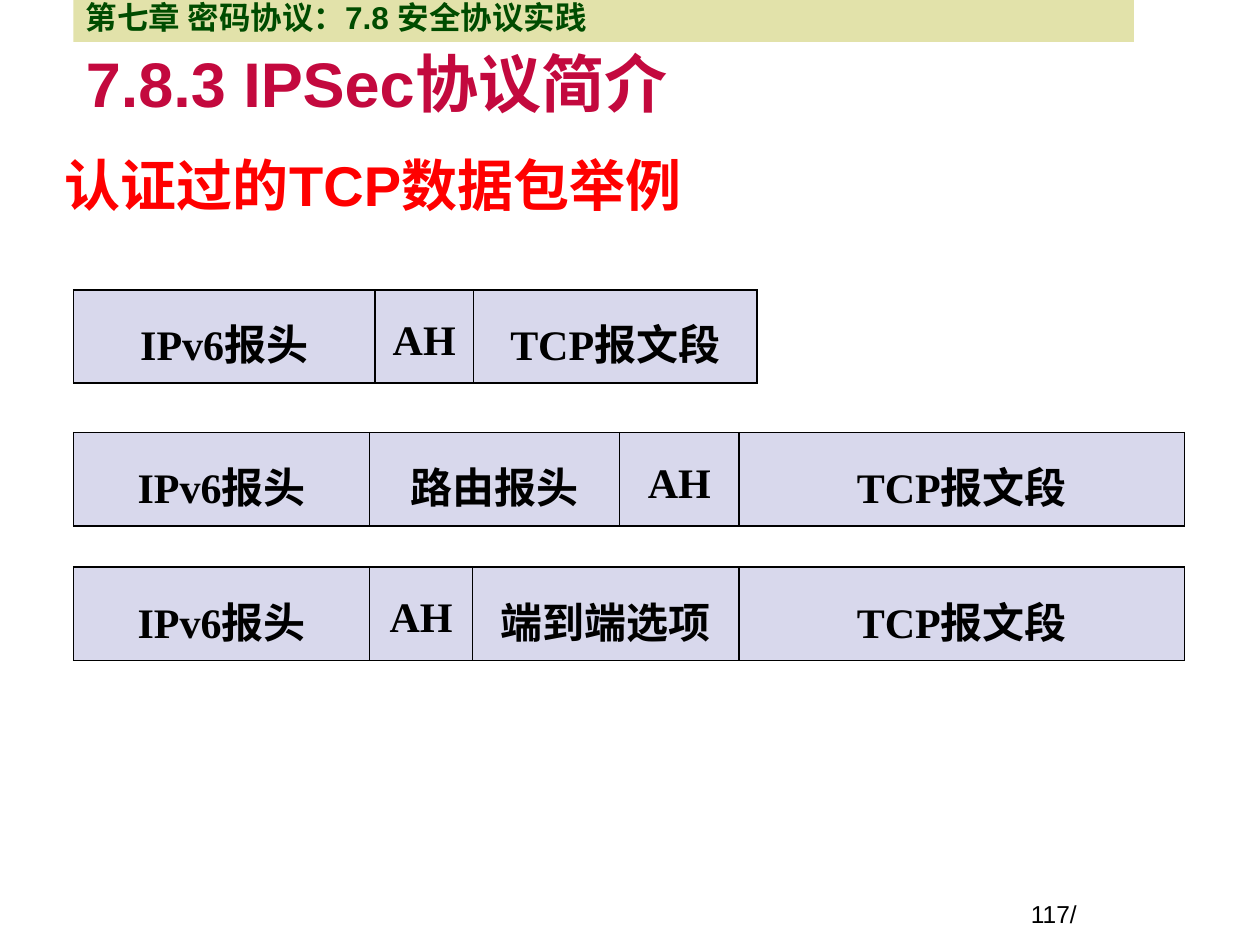
from lxml import etree
from pptx import Presentation
from pptx.dml.color import RGBColor
from pptx.enum.shapes import MSO_SHAPE
from pptx.enum.text import MSO_ANCHOR, PP_ALIGN
from pptx.oxml.ns import qn
from pptx.util import Inches, Pt

RECT = MSO_SHAPE.RECTANGLE
TOP, MIDDLE, BOTTOM = MSO_ANCHOR.TOP, MSO_ANCHOR.MIDDLE, MSO_ANCHOR.BOTTOM
LEFT, CENTER = PP_ALIGN.LEFT, PP_ALIGN.CENTER
UNITS_PER_INCH = 12
COLS, ROWS = 120, 90
MARGIN = 7
BAND_WIDTH = 101
ROW_HEIGHT = 8.9
BLACK, CELL_FILL = "000000", "D8D8EC"

PACKETS = [
    (27.6, [("IPv6报头", 28.7), ("AH", 9.4), ("TCP报文段", 27)]),
    (41.2, [("IPv6报头", 28.2), ("路由报头", 23.8), ("AH", 11.4), ("TCP报文段", 42.4)]),
    (54, [("IPv6报头", 28.2), ("AH", 9.8), ("端到端选项", 25.4), ("TCP报文段", 42.4)]),
]


def grid(n):
    return Inches(n / UNITS_PER_INCH)


def color(value):
    return RGBColor.from_string(value)


def write(tf, text, size, ink, bold=True, font="Arial", align=LEFT):
    p = tf.paragraphs[0]
    p.text = text
    p.alignment = align
    for r in p.runs:
        r.font.name = font
        r.font.size = Pt(size)
        r.font.bold = bold
        r.font.color.rgb = color(ink)
    return p


def add_text(slide, box, text, size, ink, anchor, bold=True):
    tf = slide.shapes.add_textbox(*map(grid, box)).text_frame
    tf.word_wrap = True
    tf.vertical_anchor = anchor
    write(tf, text, size, ink, bold)


def add_chapter_band(slide, box, text):
    sp = slide.shapes.add_shape(RECT, *map(grid, box))
    sp.shadow.inherit = False
    sp.fill.solid()
    sp.fill.fore_color.rgb = color("E2E2AA")
    sp.line.fill.background()
    sp.text_frame.word_wrap = True
    sp.text_frame.vertical_anchor = BOTTOM
    write(sp.text_frame, text, 18, "004C00")


def add_borders(cell):
    tc_pr = cell._tc.get_or_add_tcPr()
    for i, side in enumerate(("a:lnL", "a:lnR", "a:lnT", "a:lnB")):
        ln = etree.Element(qn(side), w=str(Pt(1)))
        fill = etree.SubElement(ln, qn("a:solidFill"))
        etree.SubElement(fill, qn("a:srgbClr"), val=BLACK)
        tc_pr.insert(i, ln)


def add_packet(slide, left, top, fields):
    width = sum(w for _, w in fields)
    box = (left, top, width, ROW_HEIGHT)
    table = slide.shapes.add_table(1, len(fields), *map(grid, box)).table
    table.first_row = False
    table.horz_banding = False
    for i, (text, w) in enumerate(fields):
        table.columns[i].width = grid(w)
        cell = table.cell(0, i)
        cell.vertical_anchor = MIDDLE
        cell.fill.solid()
        cell.fill.fore_color.rgb = color(CELL_FILL)
        p = write(cell.text_frame, text, 24, BLACK, font="Times New Roman", align=CENTER)
        p.line_spacing = 1.2
        p.space_after = Pt(2.4)
        add_borders(cell)


def main():
    prs = Presentation()
    prs.slide_width, prs.slide_height = grid(COLS), grid(ROWS)
    slide = prs.slides.add_slide(prs.slide_layouts[6])
    add_text(slide, (5, 13, 70, 9), "认证过的TCP数据包举例", 32, "FF0000", MIDDLE)
    for top, fields in PACKETS:
        add_packet(slide, MARGIN, top, fields)
    add_text(slide, (MARGIN, 5, BAND_WIDTH, 7), "7.8.3 IPSec协议简介", 36, "C3093E", BOTTOM)
    add_chapter_band(slide, (MARGIN, 0, BAND_WIDTH, 4), "第七章 密码协议：7.8 安全协议实践")
    add_text(slide, (97, 85, 17, 4), "117/", 14, BLACK, TOP, bold=False)
    prs.save("out.pptx")


if __name__ == "__main__":
    main()
